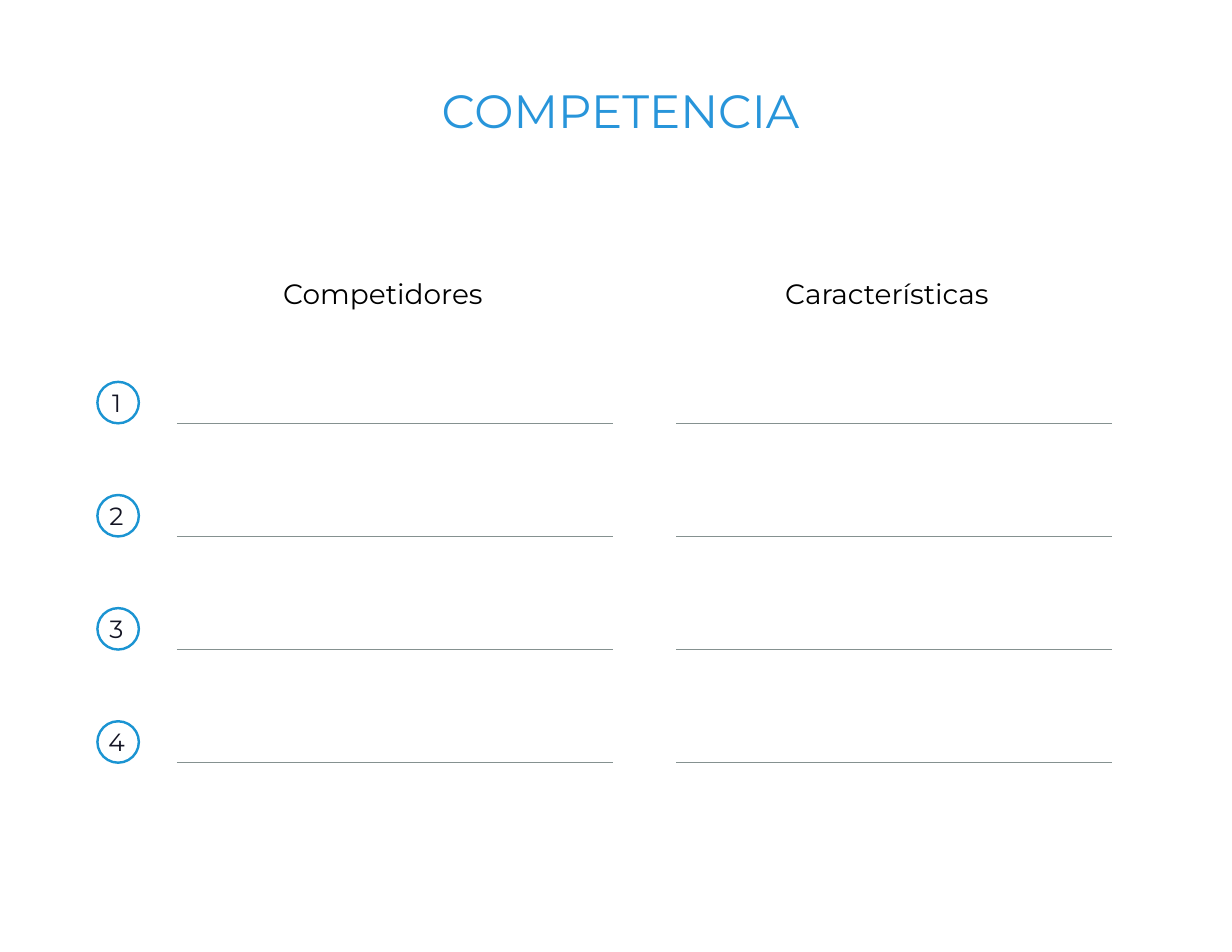
from pptx import Presentation
from pptx.dml.color import RGBColor
from pptx.enum.shapes import MSO_CONNECTOR, MSO_SHAPE
from pptx.enum.text import MSO_ANCHOR, MSO_AUTO_SIZE, PP_ALIGN
from pptx.oxml.ns import qn
from pptx.util import Inches, Pt
from lxml import etree

STRAIGHT = MSO_CONNECTOR.STRAIGHT
OVAL = MSO_SHAPE.OVAL
TOP = MSO_ANCHOR.TOP
NO_FIT = MSO_AUTO_SIZE.NONE
CENTER = PP_ALIGN.CENTER

FONT = "Montserrat"
TITLE_BLUE = RGBColor(0x28, 0x95, 0xDA)
RING_BLUE = RGBColor(0x1B, 0x94, 0xD2)
RULE_GRAY = RGBColor(0x85, 0x91, 0x90)
NUMBER_INK = RGBColor(0x13, 0x14, 0x23)
BLACK = RGBColor(0, 0, 0)

ROWS = 4
FIRST_ROW, ROW_PITCH = 3.41, 1.01
RING_LEFT, RING_SIZE = 0.87, 0.37
RULE_WIDTH = 3.89
COLUMNS = [("Competidores", 2.17, 1.58), ("Características", 6.67, 6.04)]


def write(sp, text, size, color, spacing=None):
    """Write one centred line of text into a shape."""
    tf = sp.text_frame
    tf.auto_size = NO_FIT
    tf.word_wrap = True
    tf.vertical_anchor = TOP
    p = tf.paragraphs[0]
    p.alignment = CENTER
    if spacing:
        p.line_spacing = spacing
    r = p.add_run()
    r.text = text
    r.font.name = FONT
    r.font.size = Pt(size)
    r.font.color.rgb = color


def add_title(s, text):
    """Place the title placeholder at the top of the slide."""
    sp = s.shapes.title
    sp.left, sp.top = Inches(1.83), Inches(0.68)
    sp.width, sp.height = Inches(7.42), Inches(0.61)
    write(sp, text, 30, TITLE_BLUE)


def add_heading(s, text, left):
    """Add a column heading."""
    sp = s.shapes.add_textbox(Inches(left), Inches(2.33), Inches(2.5), Inches(0.48))
    write(sp, text, 18, BLACK, 1.3)


def add_ring(s, top):
    """Add the outlined circle of a row."""
    sp = s.shapes.add_shape(OVAL, Inches(RING_LEFT), Inches(top),
                            Inches(RING_SIZE), Inches(RING_SIZE))
    sp.shadow.inherit = False
    sp.fill.background()
    sp.line.color.rgb = RING_BLUE
    sp.line.width = Pt(1.56)


def add_number(s, number, top):
    """Add the number of a row inside its circle."""
    sp = s.shapes.add_textbox(Inches(0.95), Inches(top + 0.05), Inches(0.18), Inches(0.27))
    tf = sp.text_frame
    tf.margin_left = tf.margin_right = tf.margin_top = tf.margin_bottom = 0
    write(sp, str(number), 16, NUMBER_INK)


def add_rule(s, left, y):
    """Add a horizontal writing line."""
    line = s.shapes.add_connector(STRAIGHT, Inches(left), Inches(y),
                                  Inches(left + RULE_WIDTH), Inches(y))
    line.line.color.rgb = RULE_GRAY
    line.line.width = Pt(0.55)
    etree.SubElement(line.element.spPr, qn("a:effectLst"))


def main():
    """Build the competition worksheet slide."""
    prs = Presentation()
    prs.slide_width, prs.slide_height = Inches(11), Inches(8.5)
    s = prs.slides.add_slide(prs.slide_layouts[5])
    add_title(s, "COMPETENCIA")
    for heading, heading_left, _ in COLUMNS:
        add_heading(s, heading, heading_left)
    for row in range(ROWS):
        top = FIRST_ROW + row * ROW_PITCH
        add_ring(s, top)
        add_number(s, row + 1, top)
        for _, _, rule_left in COLUMNS:
            add_rule(s, rule_left, top + RING_SIZE)
    prs.save("out.pptx")


if __name__ == "__main__":
    main()
